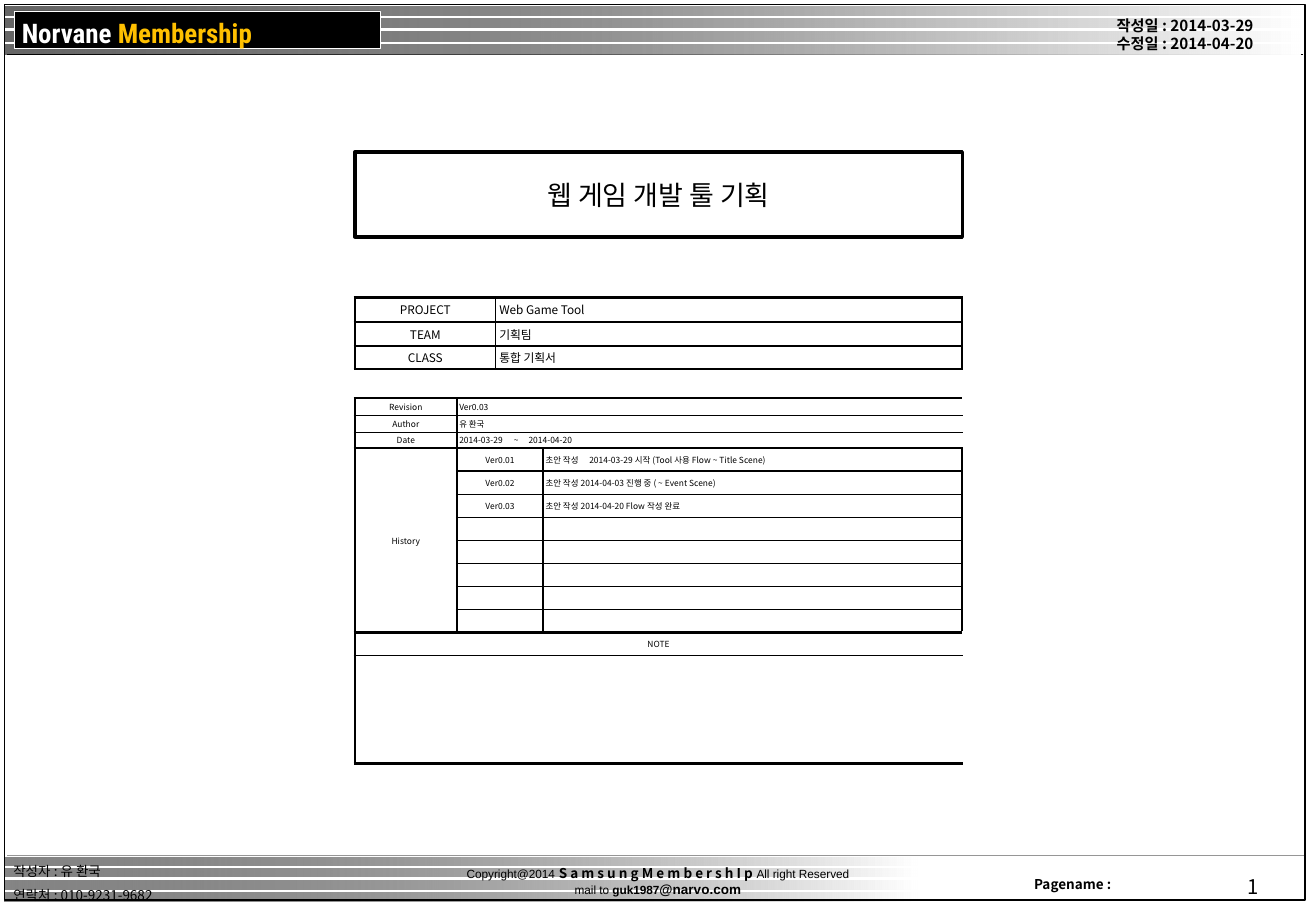
"""Builds the cover slide of a game tool plan with its project and revision tables."""
from lxml import etree
from pptx import Presentation
from pptx.dml.color import RGBColor
from pptx.enum.shapes import MSO_CONNECTOR, MSO_SHAPE
from pptx.enum.text import MSO_ANCHOR, PP_ALIGN
from pptx.oxml.ns import qn
from pptx.util import Emu, Pt

RECTANGLE = MSO_SHAPE.RECTANGLE
STRAIGHT = MSO_CONNECTOR.STRAIGHT
LEFT, CENTER = PP_ALIGN.LEFT, PP_ALIGN.CENTER
TOP, MIDDLE = MSO_ANCHOR.TOP, MSO_ANCHOR.MIDDLE
EMU_PER_PX = 9144
KOREAN, LATIN, DISPLAY = "Noto Sans CJK KR", "Arial", "Roboto Condensed"
BLACK, WHITE, GOLD, GRAY = "000000", "FFFFFF", "FFC000", "969696"
INSETS = (11, 6, 11, 6)
THIN, THICK, BOTTOM = 1, 1.5, 2.25

PROJECT_ROWS = [("PROJECT", "Web Game Tool"), ("TEAM", "기획팀"), ("CLASS", "통합 기획서")]
REVISION_ROWS = [
    ("Revision", "Ver0.03"),
    ("Author", "유 환국"),
    ("Date", "2014-03-29\t~\t2014-04-20"),
    ("History", "Ver0.01", "초안 작성\t2014-03-29 시작 (Tool 사용 Flow ~ Title Scene)"),
    ("", "Ver0.02", "초안 작성 2014-04-03 진행 중 ( ~ Event Scene)"),
    ("", "Ver0.03", "초안 작성 2014-04-20 Flow 작성 완료"),
    (), (), (), (), (),
    ("NOTE",),
    (),
]
HISTORY = range(3, 11)
TAB_STOPS = {2: (45, 57), 3: (36,)}


def px(length):
    """Turn px into EMU."""
    return Emu(round(length * EMU_PER_PX))


def rgb(hex_color):
    """Turn a hex string into a colour."""
    return RGBColor.from_string(hex_color)


def style_font(font, size, name=KOREAN, color=BLACK, bold=False):
    """Set a font for Latin and Korean letters alike."""
    font.size, font.name, font.bold = Pt(size), name, bold
    font.color.rgb = rgb(color)
    east_asian = etree.Element(qn("a:ea"), typeface=name)
    font._element.find(qn("a:latin")).addnext(east_asian)


def set_frame(frame, insets=INSETS, anchor=TOP):
    """Set insets, wrapping and anchor of a text frame."""
    frame.word_wrap = True
    frame.vertical_anchor = anchor
    (frame.margin_left, frame.margin_top,
     frame.margin_right, frame.margin_bottom) = map(px, insets)


def add_text(slide, box, lines, insets=INSETS, align=LEFT, pitch=None, **font):
    """Add a text box; a line is a string or a list of (text, font) runs."""
    frame = slide.shapes.add_textbox(*map(px, box)).text_frame
    set_frame(frame, insets)
    for index, line in enumerate(lines):
        paragraph = frame.paragraphs[0] if index == 0 else frame.add_paragraph()
        paragraph.alignment = align
        if pitch:
            paragraph.line_spacing = Pt(pitch)
        if isinstance(line, str):
            paragraph.text = line
            style_font(paragraph.font, **font)
            continue
        for text, run_font in line:
            run = paragraph.add_run()
            run.text = text
            style_font(run.font, **{**font, **run_font})


def add_box(slide, box):
    """Add a plain rectangle without shadow, fill or line."""
    shape = slide.shapes.add_shape(RECTANGLE, *map(px, box))
    shape.shadow.inherit = False
    shape.fill.background()
    shape.line.fill.background()
    return shape


def add_bands(slide, box, tops, height, opacity):
    """Add stripes that fade from translucent black to white."""
    left, top, width = box[:3]
    for offset in tops:
        band = add_box(slide, (left, top + offset, width, height))
        band.fill.gradient()
        band.fill.gradient_angle = 0
        for stop, color in zip(band.fill.gradient_stops, (BLACK, WHITE)):
            stop.color.rgb = rgb(color)
        dark = next(band.element.iter(qn("a:srgbClr")))
        etree.SubElement(dark, qn("a:alpha"), val=str(opacity * 1000))


def add_rule(slide, left, right, y, color):
    """Add a thin horizontal line."""
    rule = slide.shapes.add_connector(STRAIGHT, px(left), px(y), px(right), px(y))
    rule.line.color.rgb = rgb(color)
    rule.line.width = Pt(0.5)
    etree.SubElement(rule.element.spPr, qn("a:effectLst"))


def add_header(slide, box):
    """Add the striped header with its label and dates."""
    left, top, width, height = box
    add_rule(slide, left + 2, left + width + 2, top + height, BLACK)
    add_bands(slide, box, (0, 10, 21, 32), 8, 60)
    label = add_box(slide, (left + 8, top + 4, 301, 31))
    label.fill.solid()
    label.fill.fore_color.rgb = rgb(BLACK)
    label.line.color.rgb = rgb(WHITE)
    label.line.width = Pt(0.25)
    add_text(slide, (left + 14, top + 9, 287, 27),
             [[("Norvane ", {"color": WHITE}), ("Membership", {"color": GOLD})]],
             insets=(0, 0, 0, 0), size=16, name=DISPLAY, bold=True)
    add_text(slide, (left + width - 162, top + 3, 162, 42),
             ["작성일 : 2014-03-29", "수정일 : 2014-04-20"], pitch=10.7, size=9, bold=True)


def add_footer(slide, box):
    """Add the striped footer with contact, copyright and page number."""
    left, top, width = box[:3]
    add_bands(slide, (left, top, 751), (2, 11, 21, 31), 7, 48)
    add_rule(slide, left + 2, left + width - 1, top, GRAY)
    add_text(slide, (left + 836, top + 11, 93, 25), ["Pagename :"], size=8, bold=True)
    add_text(slide, (left + 1012, top + 10, 54, 32), ["1"], size=12)
    bold = {"bold": True}
    copyright_line = [
        ("Copyright@2014", {}),
        (" ", {"size": 8}),
        ("S a m s u n g M e m b e r s h I p ", {"size": 8, "name": KOREAN, **bold}),
        ("All right Reserved", {}),
    ]
    mail_line = [("mail to ", {}), ("guk1987", bold), ("@narvo.com", {"size": 8, **bold})]
    add_text(slide, (left + 324, top + 8, 427, 33), [copyright_line, mail_line],
             insets=(0, 0, 0, 6), align=CENTER, pitch=9.5, size=7, name=LATIN)
    add_text(slide, (left - 4, top - 6, 157, 52),
             ["작성자 : 유 환국", "연락처 : 010-9231-9682"], pitch=14.2, size=8)


def place_title(slide, box):
    """Place the framed title."""
    title = slide.shapes.title
    title.left, title.top, title.width, title.height = map(px, box)
    title.line.color.rgb = rgb(BLACK)
    title.line.width = Pt(2)
    set_frame(title.text_frame, anchor=MIDDLE)
    paragraph = title.text_frame.paragraphs[0]
    paragraph.text = "웹 게임 개발 툴 기획"
    paragraph.alignment = CENTER
    style_font(paragraph.font, 16)


def fill_cell(cell, text, size, inset, align, tabs=()):
    """Write one cell and keep empty ones as small as full ones."""
    cell.vertical_anchor = MIDDLE
    cell.margin_left = cell.margin_right = px(inset)
    cell.margin_top = cell.margin_bottom = 0
    paragraph = cell.text_frame.paragraphs[0]
    paragraph.text = text
    paragraph.alignment = align
    if tabs:
        tab_list = etree.SubElement(paragraph._p.get_or_add_pPr(), qn("a:tabLst"))
        for stop in tabs:
            etree.SubElement(tab_list, qn("a:tab"), pos=str(px(stop)), algn="l")
    style_font(paragraph.font, size)
    if not text:
        etree.SubElement(paragraph._p, qn("a:endParaRPr"), sz=str(size * 100))


def draw_borders(table, row_weights, side_rows=()):
    """Draw the outline of every cell or merged block."""
    last = len(table.columns)
    for row in range(len(table.rows)):
        for col in range(last):
            origin = table.cell(row, col)
            if origin.is_spanned:
                continue
            end_row, end_col = row + origin.span_height, col + origin.span_width
            for r in range(row, end_row):
                for c in range(col, end_col):
                    sides = {1: THICK if r in side_rows else THIN, 0: THICK, last: THICK}
                    edges = (("L", c == col, sides.get(c, THIN)),
                             ("R", c + 1 == end_col, sides.get(c + 1, THIN)),
                             ("T", r == row, row_weights.get(r, THIN)),
                             ("B", r + 1 == end_row, row_weights.get(r + 1, THIN)))
                    cell = table.cell(r, c)
                    properties = cell._tc.get_or_add_tcPr()
                    for side, on_edge, weight in edges:
                        if on_edge:
                            line = etree.SubElement(properties, qn(f"a:ln{side}"),
                                                    w=str(Pt(weight)))
                            paint = etree.SubElement(line, qn("a:solidFill"))
                            etree.SubElement(paint, qn("a:srgbClr"), val=BLACK)
                    cell.fill.background()


def add_grid(slide, box, widths, heights):
    """Add an unstyled table with the given columns and rows."""
    table = slide.shapes.add_table(len(heights), len(widths), *map(px, box)).table
    table.first_row = table.horz_banding = False
    for column, width in zip(table.columns, widths):
        column.width = px(width)
    for row, height in zip(table.rows, heights):
        row.height = px(height)
    return table


def add_project_table(slide, box):
    """Add the table of project, team and class."""
    table = add_grid(slide, box, (116, box[2] - 116), (20, 20, 19))
    for row, texts in enumerate(PROJECT_ROWS):
        for col, text in enumerate(texts):
            fill_cell(table.cell(row, col), text, 7, 3, LEFT if col else CENTER)
    draw_borders(table, {0: THICK, 3: THICK})


def add_revision_table(slide, box):
    """Add the revision table with history and note."""
    table = add_grid(slide, box, (84, 71, box[2] - 155), [14, 14, 13] + [19] * 9 + [89])
    for row in range(3):
        table.cell(row, 1).merge(table.cell(row, 2))
    table.cell(HISTORY[0], 0).merge(table.cell(HISTORY[-1], 0))
    for row in (11, 12):
        table.cell(row, 0).merge(table.cell(row, 2))
    for row, texts in enumerate(REVISION_ROWS):
        for col in range(3):
            text = texts[col] if col < len(texts) else ""
            centered = col == 0 or (col == 1 and row in HISTORY)
            tabs = TAB_STOPS.get(row, ()) if "\t" in text else ()
            fill_cell(table.cell(row, col), text, 5, 2, CENTER if centered else LEFT, tabs)
    draw_borders(table, {0: THICK, 3: THICK, 11: THICK, 13: BOTTOM}, HISTORY)


def main():
    """Build and save the slide."""
    deck = Presentation()
    deck.slide_width, deck.slide_height = px(1083), px(750)
    slide = deck.slides.add_slide(deck.slide_layouts[5])
    add_footer(slide, (4, 704, 1070, 37))
    border = add_box(slide, (4, 4, 1070, 737))
    border.line.color.rgb = rgb(BLACK)
    border.line.width = Pt(0.75)
    add_header(slide, (4, 5, 1066, 40))
    place_title(slide, (292, 125, 500, 70))
    add_project_table(slide, (292, 245, 500, 59))
    add_revision_table(slide, (292, 328, 500, 301))
    deck.save("out.pptx")


if __name__ == "__main__":
    main()
